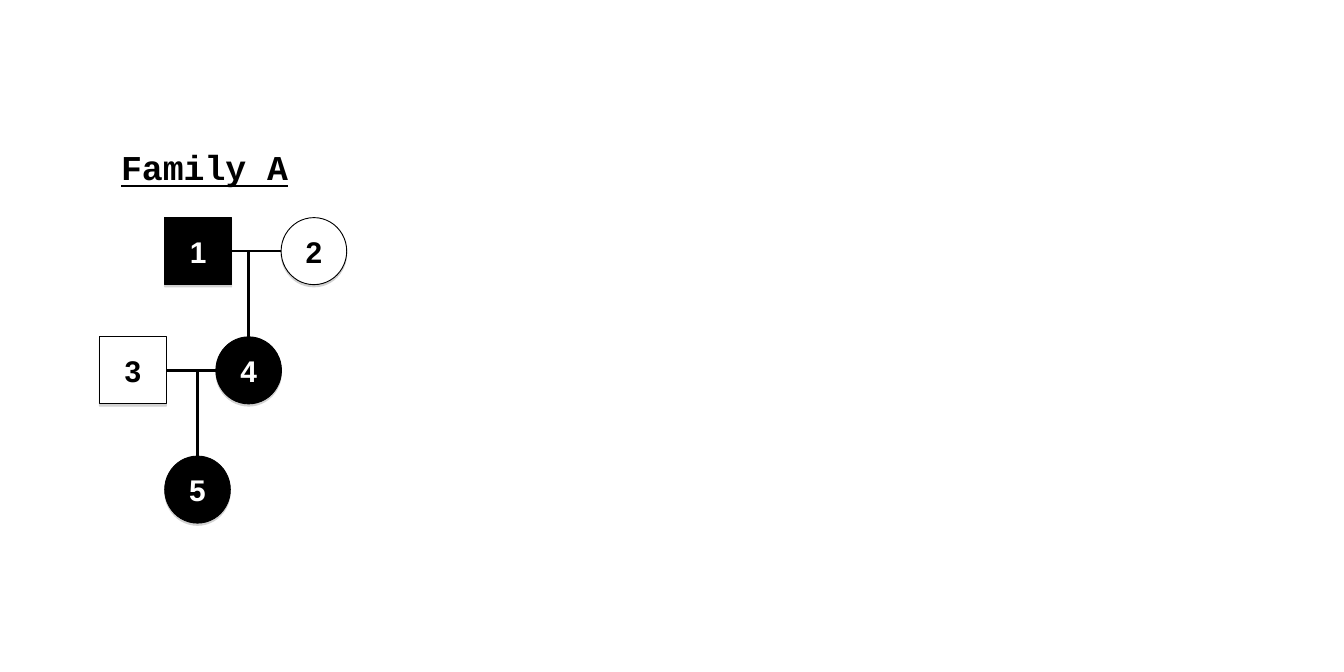
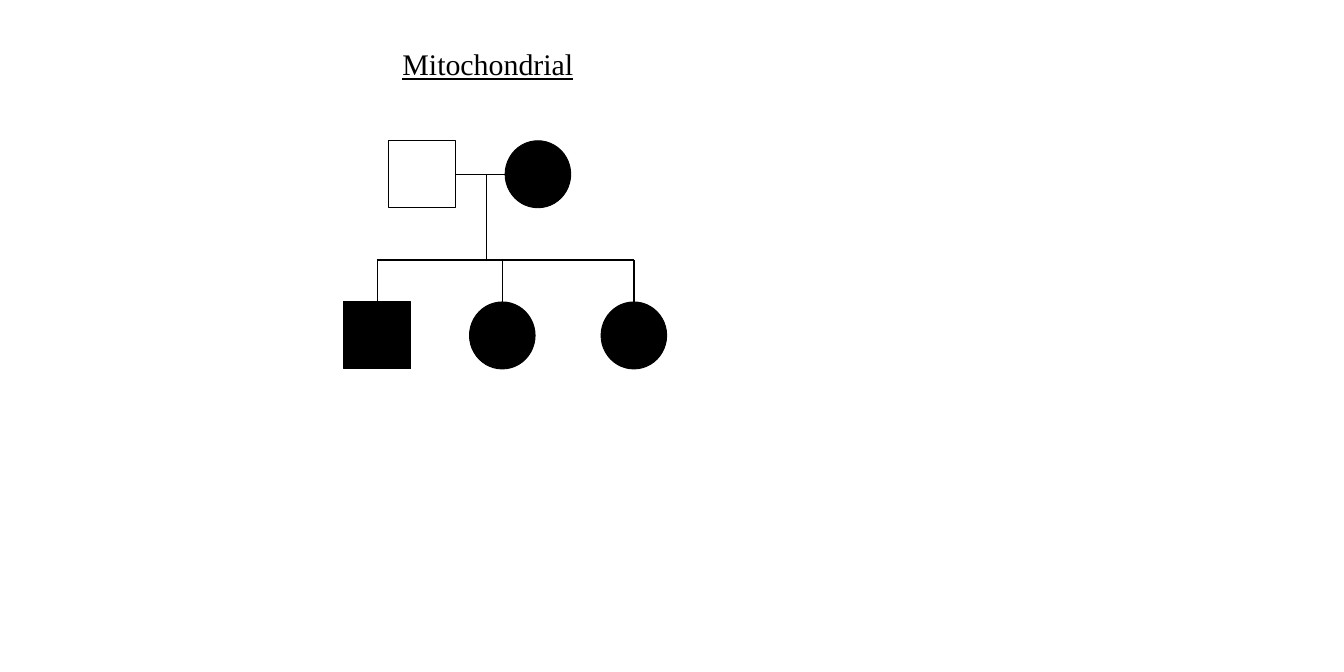
"""Build two pedigree slides: a numbered family and a mitochondrial pattern."""
from lxml import etree
from pptx import Presentation
from pptx.dml.color import RGBColor
from pptx.enum.shapes import MSO_CONNECTOR as Link, MSO_SHAPE as Preset
from pptx.enum.text import MSO_ANCHOR as Anchor, MSO_AUTO_SIZE as AutoSize, PP_ALIGN as Align
from pptx.oxml import parse_xml
from pptx.oxml.ns import nsdecls, qn
from pptx.util import Cm, Pt

BLACK, WHITE = "000000", "FFFFFF"
TITLE_ONLY = 5
MALE, FEMALE = Preset.RECTANGLE, Preset.OVAL
WIDTHS = {MALE: 1.9, FEMALE: 1.86}
HEIGHT = 1.9
SPOUSE_OFFSET = 3.3
TOP, RIGHT = 0, 3
SHADOW = (
    f'<a:effectLst {nsdecls("a")}><a:outerShdw blurRad="0" dist="{Pt(1.8)}" dir="5400000" rotWithShape="0">'
    '<a:srgbClr val="808080"><a:alpha val="35000"/></a:srgbClr></a:outerShdw></a:effectLst>'
)


def color(hex_code):
    return RGBColor.from_string(hex_code)


def style_font(font, name, size, hex_code, bold=False, underline=False):
    font.name, font.size = name, Pt(size)
    font.bold, font.underline = bold, underline
    font.color.rgb = color(hex_code)


def add_titled_slide(deck, text, box, font_name, size, align, bold=False):
    slide = deck.slides.add_slide(deck.slide_layouts[TITLE_ONLY])
    title = slide.shapes.title
    title.left, title.top, title.width, title.height = map(Cm, box)
    frame = title.text_frame
    frame.text = text
    frame.word_wrap = True
    frame.auto_size = AutoSize.SHAPE_TO_FIT_TEXT
    frame.vertical_anchor = Anchor.TOP
    heading = frame.paragraphs[0]
    heading.alignment = align
    style_font(heading.runs[0].font, font_name, size, BLACK, bold, underline=True)
    return slide


def add_person(slide, sex, left, top, affected, number="", shadow=False):
    person = slide.shapes.add_shape(sex, Cm(left), Cm(top), Cm(WIDTHS[sex]), Cm(HEIGHT))
    person.fill.solid()
    person.fill.fore_color.rgb = color(BLACK if affected else WHITE)
    person.line.color.rgb = color(BLACK)
    person.line.width = Pt(0.75)
    person.shadow.inherit = False
    if shadow:
        properties = person._element.spPr
        properties.replace(properties.find(qn("a:effectLst")), parse_xml(SHADOW))
    if number:
        frame = person.text_frame
        frame.text = number
        frame.vertical_anchor = Anchor.MIDDLE
        label = frame.paragraphs[0]
        label.alignment = Align.CENTER
        style_font(label.runs[0].font, "Arial", 24, WHITE if affected else BLACK, bold=True)
    return person


def center_x(person):
    return person.left + person.width // 2


def center_y(person):
    return person.top + person.height // 2


def add_line(slide, start, end, weight):
    line = slide.shapes.add_connector(Link.STRAIGHT, *start, *end)
    line.line.color.rgb = color(BLACK)
    line.line.width = Pt(weight)
    etree.SubElement(line._element.spPr, qn("a:effectLst"))
    return line


def join_couple(slide, father, mother, weight):
    level = center_y(father)
    marriage = add_line(slide, (father.left + father.width, level), (mother.left, level), weight)
    marriage.begin_connect(father, RIGHT)


def drop_to_child(slide, level, child, weight):
    x = center_x(child)
    descent = add_line(slide, (x, level), (x, child.top), weight)
    descent.end_connect(child, TOP)


def build_family(deck):
    weight = 2
    slide = add_titled_slide(deck, "Family A", (3.18, 4.01, 5.89, 1.45),
                             "Courier New", 28, Align.LEFT, bold=True)
    generations = [6.17 + 3.38 * row for row in range(3)]
    members = [
        (MALE, 4.67, 0, True),
        (FEMALE, 4.67 + SPOUSE_OFFSET, 0, False),
        (MALE, 2.82, 1, False),
        (FEMALE, 2.82 + SPOUSE_OFFSET, 1, True),
        (FEMALE, 4.67, 2, True),
    ]
    grandfather, grandmother, father, mother, daughter = [
        add_person(slide, sex, left, generations[row], affected, str(number), shadow=True)
        for number, (sex, left, row, affected) in enumerate(members, 1)
    ]
    for husband, wife, child in ((grandfather, grandmother, mother), (father, mother, daughter)):
        join_couple(slide, husband, wife, weight)
        drop_to_child(slide, center_y(husband), child, weight)


def build_mitochondrial(deck):
    weight = 1
    slide = add_titled_slide(deck, "Mitochondrial", (7.44, 1.17, 12.78, 1.27),
                             "Times New Roman", 24, Align.CENTER)
    father = add_person(slide, MALE, 11.02, 3.99, affected=False)
    mother = add_person(slide, FEMALE, 11.02 + SPOUSE_OFFSET, 3.99, affected=True)
    children = [add_person(slide, sex, left, 8.56, affected=True)
                for sex, left in ((MALE, 9.75), (FEMALE, 13.31), (FEMALE, 17.04))]
    join_couple(slide, father, mother, weight)
    descent_x, sibling_level = Cm(13.79), Cm(7.37)
    add_line(slide, (descent_x, center_y(father)), (descent_x, sibling_level), weight)
    add_line(slide, (center_x(children[0]), sibling_level),
             (center_x(children[-1]), sibling_level), weight)
    for child in children:
        drop_to_child(slide, sibling_level, child, weight)


def main():
    deck = Presentation()
    deck.slide_width, deck.slide_height = Cm(38.1), Cm(19.05)
    build_family(deck)
    build_mitochondrial(deck)
    deck.save("out.pptx")


if __name__ == "__main__":
    main()
